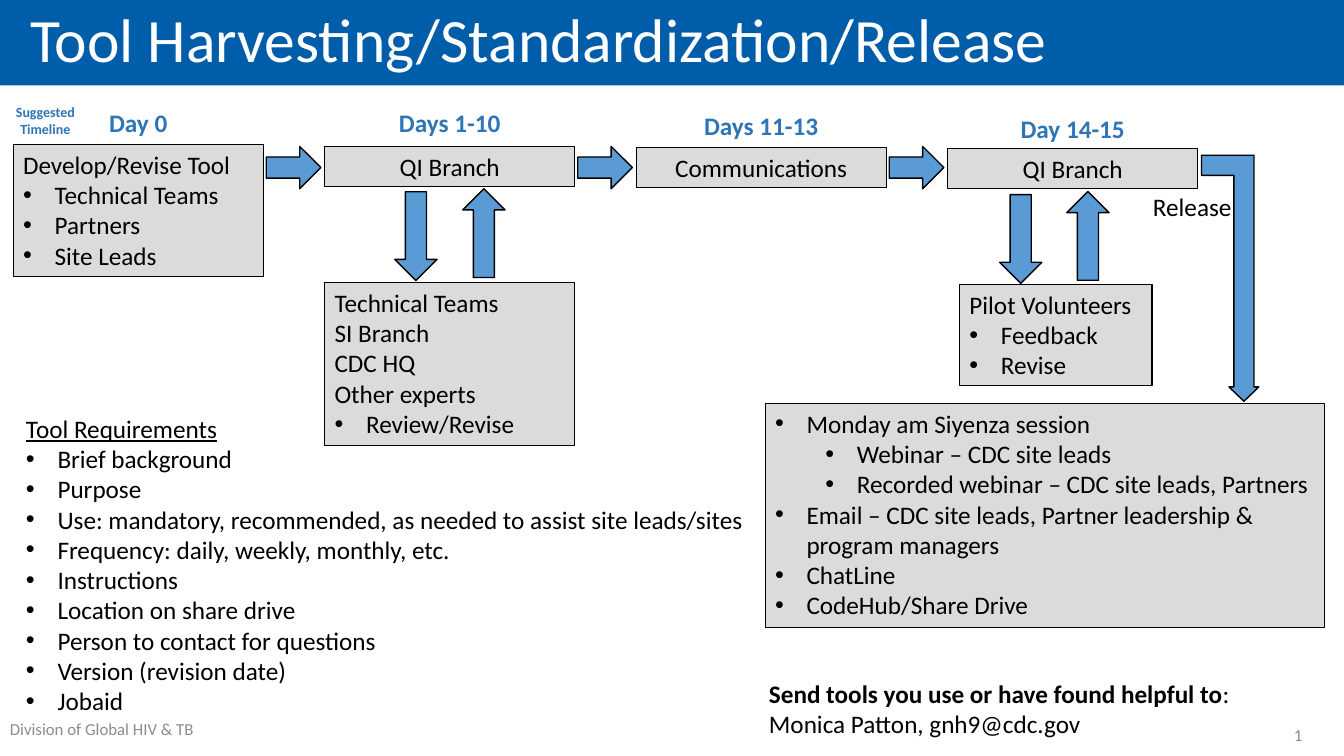
from lxml.etree import SubElement
from pptx import Presentation
from pptx.dml.color import RGBColor
from pptx.enum.shapes import MSO_SHAPE
from pptx.enum.text import MSO_ANCHOR, MSO_AUTO_SIZE, PP_ALIGN
from pptx.oxml.ns import qn
from pptx.util import Pt

THEME = {
    "font": "Calibri",
    "banner": RGBColor(0x00, 0x5D, 0xAA),
    "panel": RGBColor(0xDB, 0xDB, 0xDB),
    "arrow": RGBColor(0x5B, 0x9B, 0xD5),
    "label": RGBColor(0x2E, 0x75, 0xB6),
    "ink": RGBColor(0, 0, 0),
    "white": RGBColor(0xFF, 0xFF, 0xFF),
    "muted": RGBColor(0x8C, 0x8C, 0x8C),
    "title_size": 44, "body_size": 18, "footer_size": 12, "note_size": 10,
}
HANG = 22.5
LEVEL_INDENT = {1: HANG, 2: HANG + 36}

deck = Presentation()
deck.slide_width, deck.slide_height = Pt(960), Pt(540)
page = deck.slides.add_slide(deck.slide_layouts[6])


def add_shape(kind, place, fill, line_width=0):
    """Add a flat preset shape, outlined when line_width is given."""
    shape = page.shapes.add_shape(kind, *map(Pt, place))
    shape.shadow.inherit = False
    shape.fill.solid()
    shape.fill.fore_color.rgb = THEME[fill]
    if line_width:
        shape.line.color.rgb = THEME["ink"]
        shape.line.width = Pt(line_width)
    else:
        shape.line.fill.background()
    return shape


def add_text(place, rows, panel=False, size="body_size", color="ink",
             bold=False, align=PP_ALIGN.LEFT):
    """Write rows, plain strings or (bullet level, text), in a box or panel."""
    if panel:
        box = add_shape(MSO_SHAPE.RECTANGLE, place, "panel", 0.75)
    else:
        box = page.shapes.add_textbox(*map(Pt, place))
    frame_format = {"word_wrap": True, "vertical_anchor": MSO_ANCHOR.TOP,
                    "auto_size": MSO_AUTO_SIZE.SHAPE_TO_FIT_TEXT}
    for name, value in frame_format.items():
        setattr(box.text_frame, name, value)
    font_format = {"name": THEME["font"], "size": Pt(THEME[size]), "bold": bold}
    for index, row in enumerate(rows):
        level, text = (0, row) if isinstance(row, str) else row
        para = box.text_frame.paragraphs[0] if index == 0 else box.text_frame.add_paragraph()
        para.alignment = align
        span = para.add_run()
        span.text = text
        for name, value in font_format.items():
            setattr(span.font, name, value)
        span.font.color.rgb = THEME[color]
        if level:
            para.level = level - 1
            properties = para._p.get_or_add_pPr()
            properties.set("marL", str(Pt(LEVEL_INDENT[level])))
            properties.set("indent", str(-Pt(HANG)))
            SubElement(properties, qn("a:buFont")).set("typeface", "Arial")
            SubElement(properties, qn("a:buChar")).set("char", "•")
    return box


# Title banner and footer
banner = add_shape(MSO_SHAPE.RECTANGLE, (0, -0.5, 960, 61.5), "banner")
banner_format = {"vertical_anchor": MSO_ANCHOR.MIDDLE, "word_wrap": True,
                 "margin_left": Pt(21.6), "margin_right": Pt(21.6)}
for name, value in banner_format.items():
    setattr(banner.text_frame, name, value)
title = banner.text_frame.paragraphs[0]
title.alignment, title.line_spacing = PP_ALIGN.LEFT, 0.9
span = title.add_run()
span.text = "Tool Harvesting/Standardization/Release"
title_format = {"name": THEME["font"], "size": Pt(THEME["title_size"])}
for name, value in title_format.items():
    setattr(span.font, name, value)
span.font.color.rgb = THEME["white"]

add_text((0, 509.8, 156, 28.8), ["Division of Global HIV & TB"],
         size="footer_size", color="muted")
number = add_text((854.6, 510.5, 82.8, 28.8), ["1"], size="footer_size",
                  color="muted", align=PP_ALIGN.RIGHT)
number.text_frame.auto_size = MSO_AUTO_SIZE.NONE
number.text_frame.vertical_anchor = MSO_ANCHOR.MIDDLE

# Timeline: a day label over each stage, an arrow to the next stage
STAGE_LEFT, STAGE_STEP, STAGE_WIDTH = 9.4, 222.5, 178.6
develop = ["Develop/Revise Tool", (1, "Technical Teams"), (1, "Partners"), (1, "Site Leads")]
stages = [
    ("Day 0", 73.4, develop, 103, 94.3, PP_ALIGN.LEFT),
    ("Days 1-10", 73.4, ["QI Branch"], 104.6, 28.8, PP_ALIGN.CENTER),
    ("Days 11-13", 75.6, ["Communications"], 105.2, 28.8, PP_ALIGN.CENTER),
    ("Day 14-15", 77.6, ["QI Branch"], 106, 28.8, PP_ALIGN.CENTER),
]
for index, (day, day_top, rows, top, height, align) in enumerate(stages):
    left = STAGE_LEFT + index * STAGE_STEP
    add_text((left, day_top, STAGE_WIDTH, 28.8), [day], color="label",
             bold=True, align=PP_ALIGN.CENTER)
    add_text((left, top, STAGE_WIDTH, height), rows, panel=True, align=align)
    if index < len(stages) - 1:
        add_shape(MSO_SHAPE.RIGHT_ARROW, (left + 180.8, 104.6, 39, 30.2), "arrow", 1)
add_text((0, 70.6, 64.8, 31.7), ["Suggested Timeline"], size="note_size",
         color="label", bold=True, align=PP_ALIGN.CENTER)

# Review loops below the two QI Branch stages
for left, top, rotation in [(282, 137, 0), (330.5, 134.8, 180),
                            (714, 139, 0), (762, 136.8, 180)]:
    arrow = add_shape(MSO_SHAPE.DOWN_ARROW, (left, top, 30.2, 63.4), "arrow", 1)
    arrow.rotation = rotation
add_text((231.9, 201.6, STAGE_WIDTH, 116.6),
         ["Technical Teams", "SI Branch", "CDC HQ", "Other experts", (1, "Review/Revise")],
         panel=True)
add_text((685.4, 203, 137.5, 72.7),
         ["Pilot Volunteers", (1, "Feedback"), (1, "Revise")], panel=True)

# Release path and channels
release = add_shape(MSO_SHAPE.BENT_UP_ARROW, (858.2, 110.9, 41, 175.7), "arrow", 1)
release.rotation = 180
release._element.spPr.find(qn("a:xfrm")).set("flipH", "1")
for index, value in enumerate([0.35, 0.26, 0.25]):
    release.adjustments[index] = value
add_text((816.5, 133.2, 72.7, 28.8), ["Release"])
add_text((546.5, 288, 399.6, 160), [
    (1, "Monday am Siyenza session"),
    (2, "Webinar – CDC site leads"),
    (2, "Recorded webinar – CDC site leads, Partners"),
    (1, "Email – CDC site leads, Partner leadership & program managers"),
    (1, "ChatLine"),
    (1, "CodeHub/Share Drive"),
], panel=True)

# Requirements and contact
needs = ["Brief background", "Purpose",
         "Use: mandatory, recommended, as needed to assist site leads/sites",
         "Frequency: daily, weekly, monthly, etc.", "Instructions",
         "Location on share drive", "Person to contact for questions",
         "Version (revision date)", "Jobaid"]
requirements = add_text((11.5, 291.6, 530.6, 225.4),
                        ["Tool Requirements"] + [(1, need) for need in needs])
requirements.text_frame.paragraphs[0].runs[0].font.underline = True

contact = add_text((542.2, 481, 410, 51),
                   ["Send tools you use or have found helpful to", "Monica Patton, gnh9@cdc.gov"])
request = contact.text_frame.paragraphs[0]
request.runs[0].font.bold = True
colon = request.add_run()
colon.text = ":"
colon_format = {"name": THEME["font"], "size": Pt(THEME["body_size"]), "bold": False}
for name, value in colon_format.items():
    setattr(colon.font, name, value)
colon.font.color.rgb = THEME["ink"]

deck.save("out.pptx")
